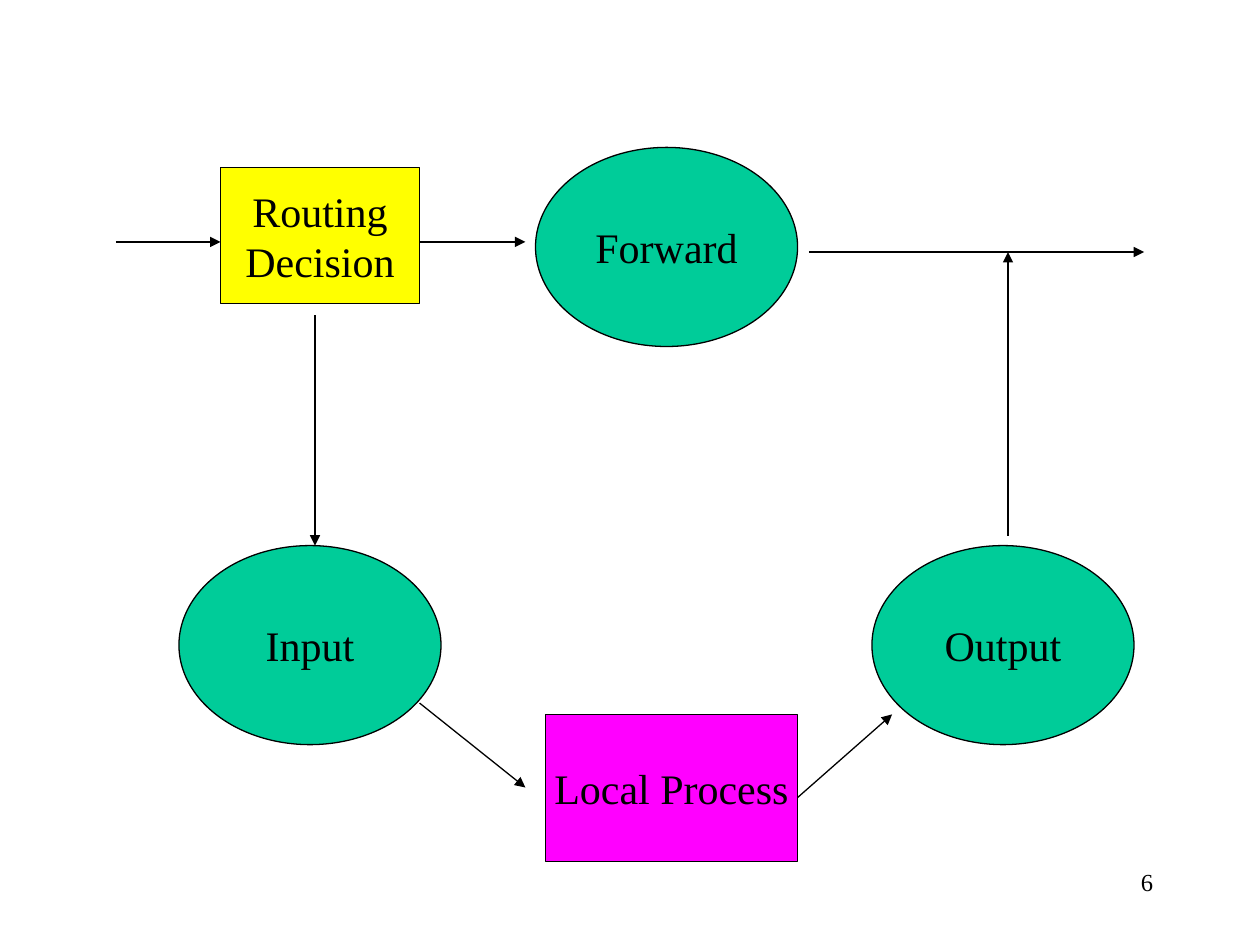
from dataclasses import dataclass

from lxml.etree import SubElement
from pptx import Presentation
from pptx.dml.color import RGBColor
from pptx.enum.shapes import MSO_CONNECTOR, MSO_SHAPE
from pptx.enum.text import MSO_ANCHOR, PP_ALIGN
from pptx.oxml.ns import qn
from pptx.util import Inches, Pt


@dataclass(frozen=True)
class Theme:
    font: str = "Times New Roman"
    ink: RGBColor = RGBColor(0, 0, 0)
    chain: RGBColor = RGBColor(0x00, 0xCC, 0x99)
    route: RGBColor = RGBColor(0xFF, 0xFF, 0x00)
    local: RGBColor = RGBColor(0xFF, 0x00, 0xFF)
    body: Pt = Pt(24)
    small: Pt = Pt(14)
    line: Pt = Pt(0.75)


THEME = Theme()
CHAINS = [("Forward", 4.25, 1.17), ("Input", 1.42, 4.33), ("Output", 6.92, 4.33)]
ARROWS = [
    (0.92, 1.92, 1.75, 1.92),
    (3.33, 1.92, 4.17, 1.92),
    (6.42, 2, 9.08, 2),
    (2.5, 2.5, 2.5, 4.33),
    (8, 4.25, 8, 2),
    (3.33, 5.58, 4.17, 6.25),
    (6.33, 6.33, 7.08, 5.67),
]


def write(frame, text, size, align):
    frame.text = text
    for para in frame.paragraphs:
        para.alignment = align
        para.font.name = THEME.font
        para.font.size = size
        para.font.color.rgb = THEME.ink


def add_node(slide, kind, text, box, fill):
    node = slide.shapes.add_shape(kind, *map(Inches, box))
    node.shadow.inherit = False
    node.fill.solid()
    node.fill.fore_color.rgb = fill
    node.line.color.rgb = THEME.ink
    node.line.width = THEME.line
    node.text_frame.word_wrap = False
    node.text_frame.vertical_anchor = MSO_ANCHOR.MIDDLE
    write(node.text_frame, text, THEME.body, PP_ALIGN.CENTER)


def add_arrow(slide, ends):
    arrow = slide.shapes.add_connector(MSO_CONNECTOR.STRAIGHT, *map(Inches, ends))
    arrow.line.color.rgb = THEME.ink
    arrow.line.width = THEME.line
    SubElement(arrow.line._get_or_add_ln(), qn("a:tailEnd"), type="triangle")
    SubElement(arrow._element.spPr, qn("a:effectLst"))


def add_number(slide, text, box):
    label = slide.shapes.add_textbox(*map(Inches, box))
    label.text_frame.word_wrap = True
    write(label.text_frame, text, THEME.small, PP_ALIGN.RIGHT)


def main():
    deck = Presentation()
    deck.slide_width, deck.slide_height = Inches(10), Inches(7.5)
    slide = deck.slides.add_slide(deck.slide_layouts[6])
    for text, left, top in CHAINS:
        add_node(slide, MSO_SHAPE.OVAL, text, (left, top, 2.08, 1.58), THEME.chain)
    add_node(slide, MSO_SHAPE.RECTANGLE, "Routing\nDecision",
             (1.75, 1.33, 1.58, 1.08), THEME.route)
    add_node(slide, MSO_SHAPE.RECTANGLE, "Local Process",
             (4.33, 5.67, 2, 1.17), THEME.local)
    for ends in ARROWS:
        add_arrow(slide, ends)
    add_number(slide, "6", (7.17, 6.83, 2.08, 0.5))
    deck.save("out.pptx")


if __name__ == "__main__":
    main()
